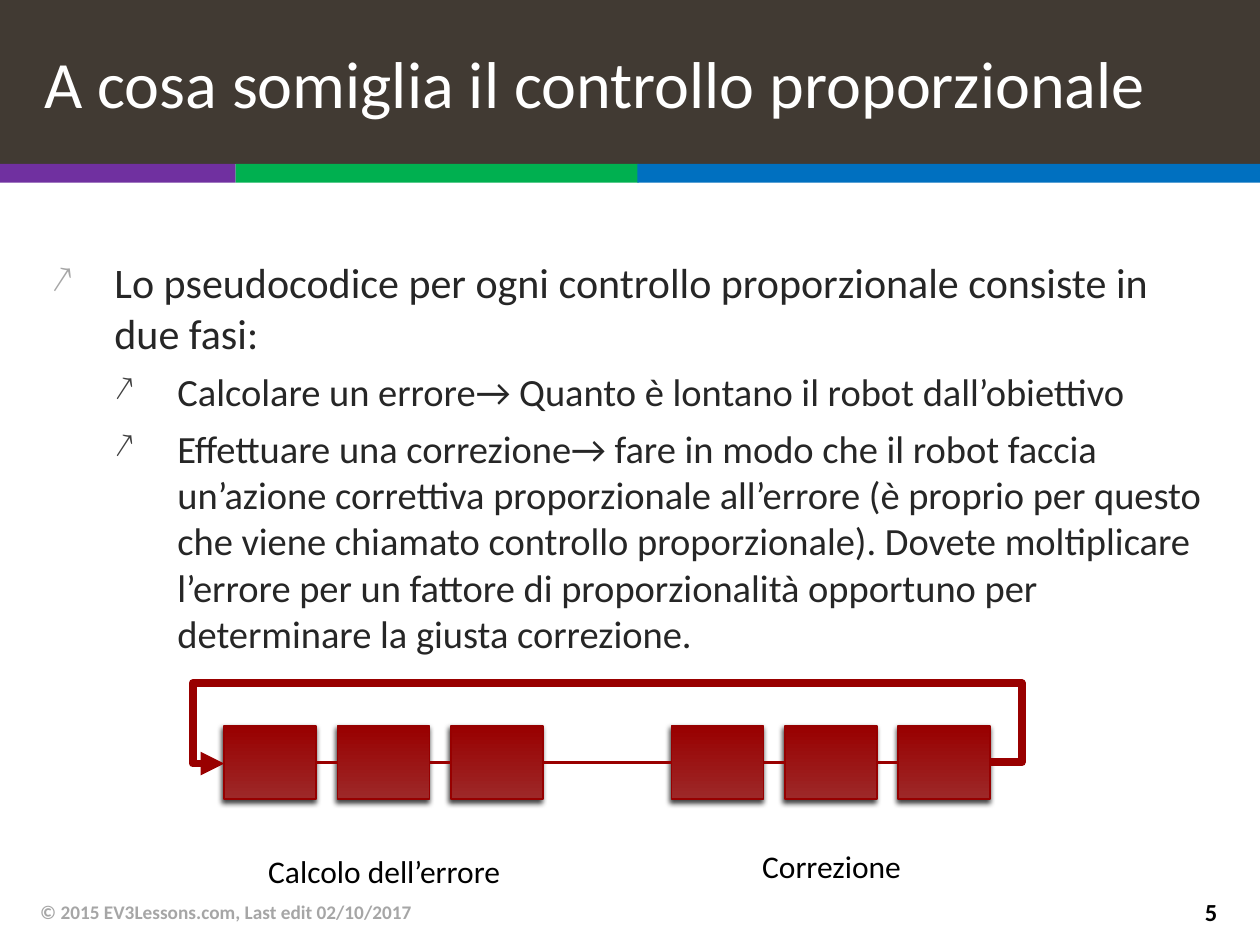
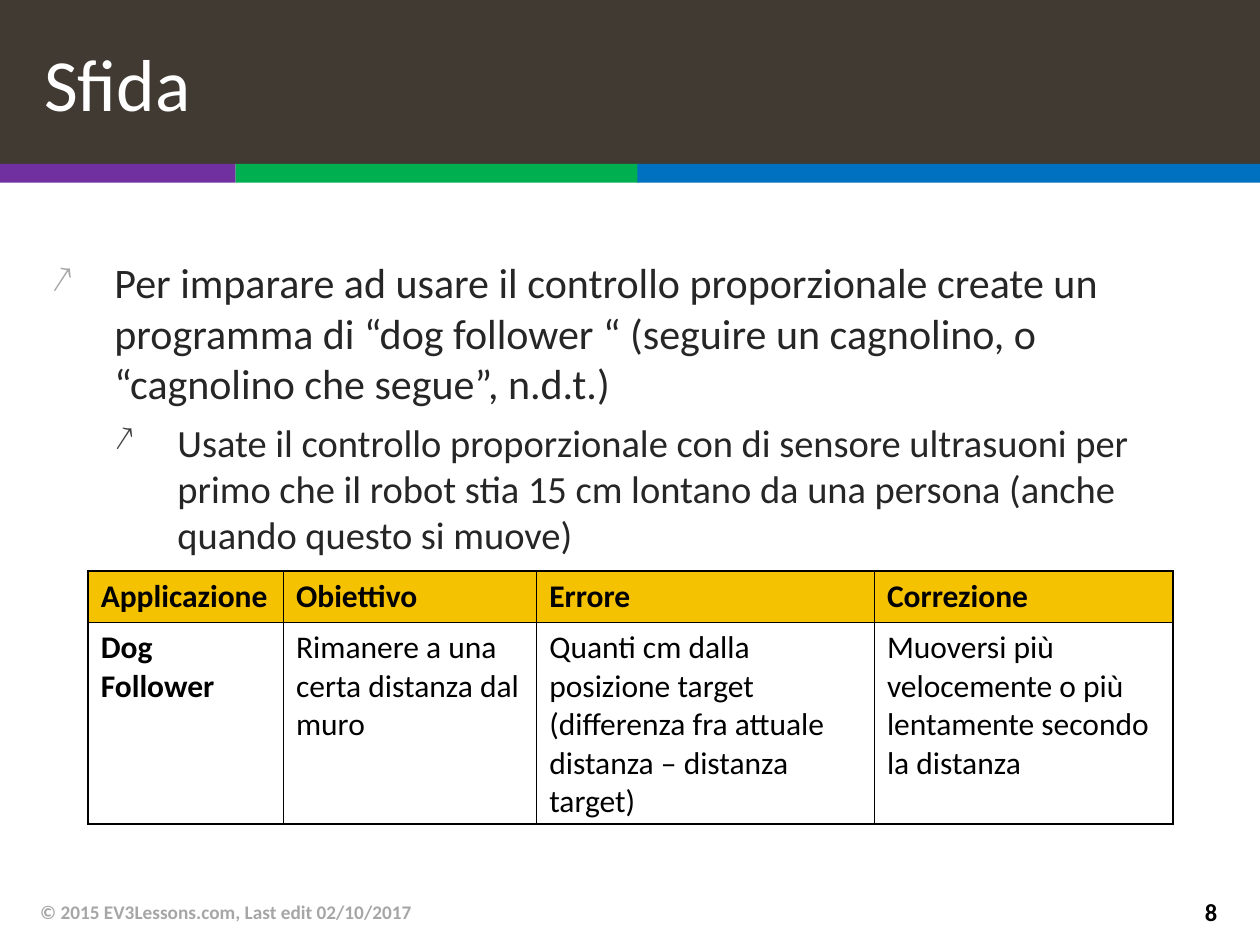
"""Builds two lesson slides on proportional control."""
from itertools import pairwise
from typing import NamedTuple

from lxml import etree
from pptx import Presentation
from pptx.dml.color import RGBColor
from pptx.enum.shapes import MSO_CONNECTOR, MSO_SHAPE
from pptx.enum.text import MSO_ANCHOR, MSO_AUTO_SIZE, PP_ALIGN
from pptx.oxml.ns import qn
from pptx.util import Inches, Pt

RECTANGLE = MSO_SHAPE.RECTANGLE
STRAIGHT, ELBOW = MSO_CONNECTOR.STRAIGHT, MSO_CONNECTOR.ELBOW
TOP, MIDDLE = MSO_ANCHOR.TOP, MSO_ANCHOR.MIDDLE
LEFT, CENTER, RIGHT = PP_ALIGN.LEFT, PP_ALIGN.CENTER, PP_ALIGN.RIGHT
NO_FIT = MSO_AUTO_SIZE.NONE

FONT = "Calibri"
TITLE_ONLY = 5
COLORS = {
    "title_band": "413A33",
    "purple": "7030A0",
    "green": "00B050",
    "blue": "0070C0",
    "white": "FFFFFF",
    "black": "000000",
    "body": "262626",
    "sub_bullet": "404040",
    "gray": "A6A6A6",
    "red": "990000",
    "red_light": "9D2828",
    "red_edge": "960000",
    "header": "F5C201",
}
FOOTER = "© 2015 EV3Lessons.com, Last edit 02/10/2017"


class Area(NamedTuple):
    """Position and size in inches."""
    left: float
    top: float
    width: float
    height: float


class Band(NamedTuple):
    """A stripe under the title."""
    left: float
    width: float
    color: str


class Style(NamedTuple):
    """Look of a run."""
    size: float
    color: str = "black"
    bold: bool = False


class Level(NamedTuple):
    """Look of one outline level."""
    style: Style
    indent: float
    space_before: float
    bullet_color: str


class Bullet(NamedTuple):
    """One outline paragraph."""
    level: int
    text: str


class Label(NamedTuple):
    """Caption under a group of blocks."""
    text: str
    area: Area


BANDS = [Band(0, 1.87, "purple"), Band(1.87, 3.2, "green"), Band(5.06, 4.94, "blue")]
LEVELS = [
    Level(Style(24, "body"), 0.5, 20, "gray"),
    Level(Style(22, "body"), 1, 6, "sub_bullet"),
]
CONTROL_BULLETS = [
    Bullet(0, "Lo pseudocodice per ogni controllo proporzionale consiste in due fasi:"),
    Bullet(1, "Calcolare un errore→ Quanto è lontano il robot dall’obiettivo"),
    Bullet(1, "Effettuare una correzione→ fare in modo che il robot faccia un’azione "
              "correttiva proporzionale all’errore (è proprio per questo che viene "
              "chiamato controllo proporzionale). Dovete moltiplicare l’errore per un "
              "fattore di proporzionalità opportuno per determinare la giusta correzione."),
]
CHALLENGE_BULLETS = [
    Bullet(0, "Per imparare ad usare il controllo proporzionale create un programma di "
              "“dog follower “ (seguire un cagnolino, o “cagnolino che segue”, n.d.t.)"),
    Bullet(1, "Usate il controllo proporzionale con di sensore ultrasuoni per primo che "
              "il robot stia 15 cm lontano da una persona (anche quando questo si muove)"),
]
LABELS = [
    Label("Calcolo dell’errore", Area(1.78, 6.71, 2.54, 0.4)),
    Label("Correzione", Area(5.33, 6.67, 2.54, 0.4)),
]
BLOCK = Area(1.78, 5.76, 0.73, 0.58)
BLOCK_PITCH = 0.9
BLOCKS_PER_GROUP = 3
LOOP_RISE = 0.64
LOOP_OVERHANG = 0.25
LOOP_DROP = 0.01

TABLE_ROWS = [
    ["Applicazione", "Obiettivo", "Errore", "Correzione"],
    ["Dog Follower", "Rimanere a una certa distanza dal muro",
     "Quanti cm dalla posizione target (differenza fra attuale distanza – distanza target)",
     "Muoversi più velocemente o più lentamente secondo la distanza"],
]
COLUMN_WIDTHS = [1.55, 2.01, 2.68, 2.37]
ROW_HEIGHTS = [0.41, 1.6]


def rgb(name: str) -> RGBColor:
    """Return a named colour."""
    return RGBColor.from_string(COLORS[name])


def inches(area: Area) -> list:
    """Return an area as lengths."""
    return [Inches(value) for value in area]


def add_node(parent, tag: str, **attributes):
    """Append a drawing element."""
    return etree.SubElement(parent, qn(tag), attributes)


def add_color(parent, name: str):
    """Append a colour element."""
    return add_node(parent, "a:srgbClr", val=COLORS[name])


def add_span(para, text: str, style: Style) -> None:
    """Add a styled run."""
    span = para.add_run()
    span.text = text
    span.font.name = FONT
    span.font.size = Pt(style.size)
    span.font.bold = style.bold
    span.font.color.rgb = rgb(style.color)


def add_box(page, area: Area, anchor=TOP):
    """Add a wrapping text box and return its frame."""
    frame = page.shapes.add_textbox(*inches(area)).text_frame
    frame.word_wrap = True
    frame.vertical_anchor = anchor
    return frame


def add_line_of_text(page, area: Area, text: str, style: Style, align, anchor=TOP) -> None:
    """Add a box holding one paragraph."""
    para = add_box(page, area, anchor).paragraphs[0]
    para.alignment = align
    add_span(para, text, style)


def add_block(page, area: Area):
    """Add a plain rectangle without shadow."""
    block = page.shapes.add_shape(RECTANGLE, *inches(area))
    block.shadow.inherit = False
    return block


def add_page(deck, title: str, title_size: float, number: str, bullets: list[Bullet]):
    """Add a slide with title, bands, outline and footer."""
    page = deck.slides.add_slide(deck.slide_layouts[TITLE_ONLY])
    for band in BANDS:
        stripe = add_block(page, Area(band.left, 1.3, band.width, 0.15))
        stripe.fill.solid()
        stripe.fill.fore_color.rgb = rgb(band.color)
        stripe.line.fill.background()
    heading = page.shapes.title
    heading.left, heading.top, heading.width, heading.height = inches(Area(0, 0, 10, 1.3))
    heading.fill.solid()
    heading.fill.fore_color.rgb = rgb("title_band")
    frame = heading.text_frame
    frame.auto_size = NO_FIT
    frame.vertical_anchor = MIDDLE
    frame.margin_left = Inches(0.35)
    frame.paragraphs[0].alignment = LEFT
    add_span(frame.paragraphs[0], title, Style(title_size, "white"))
    add_outline(page, bullets)
    add_line_of_text(page, Area(0.22, 7.04, 6.7, 0.4), FOOTER,
                     Style(11, "gray", True), LEFT, MIDDLE)
    add_line_of_text(page, Area(9.07, 7.04, 0.69, 0.39), number,
                     Style(14, "black", True), RIGHT, MIDDLE)
    return page


def add_outline(page, bullets: list[Bullet]) -> None:
    """Add the bulleted text."""
    frame = add_box(page, Area(0.31, 1.99, 9.38, 4.71))
    for index, bullet in enumerate(bullets):
        level = LEVELS[bullet.level]
        para = frame.add_paragraph() if index else frame.paragraphs[0]
        para.level = bullet.level
        properties = para._p.get_or_add_pPr()
        properties.set("marL", str(Inches(level.indent)))
        properties.set("indent", str(Inches(-0.5)))
        add_color(add_node(properties, "a:buClr"), level.bullet_color)
        add_node(properties, "a:buSzPct", val="90000")
        add_node(properties, "a:buChar", char="↗")
        para.space_before = Pt(level.space_before if index else 0)
        add_span(para, bullet.text, level.style)


def add_program_block(page, area: Area) -> None:
    """Add a red gradient block with a soft shadow."""
    block = add_block(page, area)
    block.fill.gradient()
    block.fill.gradient_angle = 90
    for stop, color in zip(block.fill.gradient_stops, ("red_light", "red")):
        stop.color.rgb = rgb(color)
    block.line.color.rgb = rgb("red_edge")
    block.line.width = Pt(1)
    effects = block._element.spPr.find(qn("a:effectLst"))
    shadow = add_node(effects, "a:outerShdw", blurRad=str(Pt(3)), dist=str(Pt(2)),
                      dir=str(110 * 60000), rotWithShape="0")
    add_node(add_color(shadow, "black"), "a:alpha", val="75000")


def add_link(page, kind, start: tuple, end: tuple, width: float):
    """Add a red connector without shadow."""
    link = page.shapes.add_connector(kind, *(Inches(value) for value in start + end))
    link.line.color.rgb = rgb("red")
    link.line.width = Pt(width)
    add_node(link._element.spPr, "a:effectLst")
    return link


def add_loop(page, start: tuple, end: tuple) -> None:
    """Add the arrow that returns over the blocks."""
    loop = add_link(page, ELBOW, start, end, 4.5)
    add_node(loop.line._get_or_add_ln(), "a:tailEnd", type="triangle")
    geometry = loop._element.spPr.find(qn("a:prstGeom"))
    geometry.set("prst", "bentConnector5")
    guides = geometry.find(qn("a:avLst"))
    overhang = LOOP_OVERHANG / (start[0] - end[0])
    ratios = (-overhang, -LOOP_RISE / LOOP_DROP, 1 + overhang)
    for index, ratio in enumerate(ratios, 1):
        add_node(guides, "a:gd", name=f"adj{index}", fmla=f"val {round(ratio * 100000)}")


def add_flow(page) -> None:
    """Add the two groups of blocks, their links and labels."""
    lefts = [label.area.left + step * BLOCK_PITCH
             for label in LABELS for step in range(BLOCKS_PER_GROUP)]
    middle = BLOCK.top + BLOCK.height / 2
    for left in lefts:
        add_program_block(page, BLOCK._replace(left=left))
    for label in LABELS:
        add_line_of_text(page, label.area, label.text, Style(18), CENTER)
    add_loop(page, (lefts[-1] + BLOCK.width, middle), (lefts[0], middle + LOOP_DROP))
    for left, following in pairwise(lefts):
        add_link(page, STRAIGHT, (left + BLOCK.width, middle), (following, middle), 2)


def add_borders(cell) -> None:
    """Give a cell thin black borders."""
    properties = cell._tc.get_or_add_tcPr()
    for side in ("a:lnL", "a:lnR", "a:lnT", "a:lnB"):
        border = add_node(properties, side, w=str(Pt(1)))
        add_color(add_node(border, "a:solidFill"), "black")


def add_challenge_table(page) -> None:
    """Add the table of the challenge."""
    area = Area(0.7, 4.53, sum(COLUMN_WIDTHS), sum(ROW_HEIGHTS))
    table = page.shapes.add_table(len(TABLE_ROWS), len(COLUMN_WIDTHS), *inches(area)).table
    for column, width in zip(table.columns, COLUMN_WIDTHS):
        column.width = Inches(width)
    for row, height in zip(table.rows, ROW_HEIGHTS):
        row.height = Inches(height)
    for row_index, texts in enumerate(TABLE_ROWS):
        for column_index, text in enumerate(texts):
            cell = table.cell(row_index, column_index)
            add_borders(cell)
            if row_index == 0:
                cell.fill.solid()
                cell.fill.fore_color.rgb = rgb("header")
            else:
                cell.fill.background()
            bold = row_index == 0 or column_index == 0
            add_span(cell.text_frame.paragraphs[0], text, Style(18, bold=bold))


def main() -> None:
    """Build and save the deck."""
    deck = Presentation()
    deck.slide_width, deck.slide_height = Inches(10), Inches(7.5)
    add_flow(add_page(deck, "A cosa somiglia il controllo proporzionale", 37.8, "5",
                      CONTROL_BULLETS))
    add_challenge_table(add_page(deck, "Sfida", 42, "8", CHALLENGE_BULLETS))
    deck.save("out.pptx")


if __name__ == "__main__":
    main()
